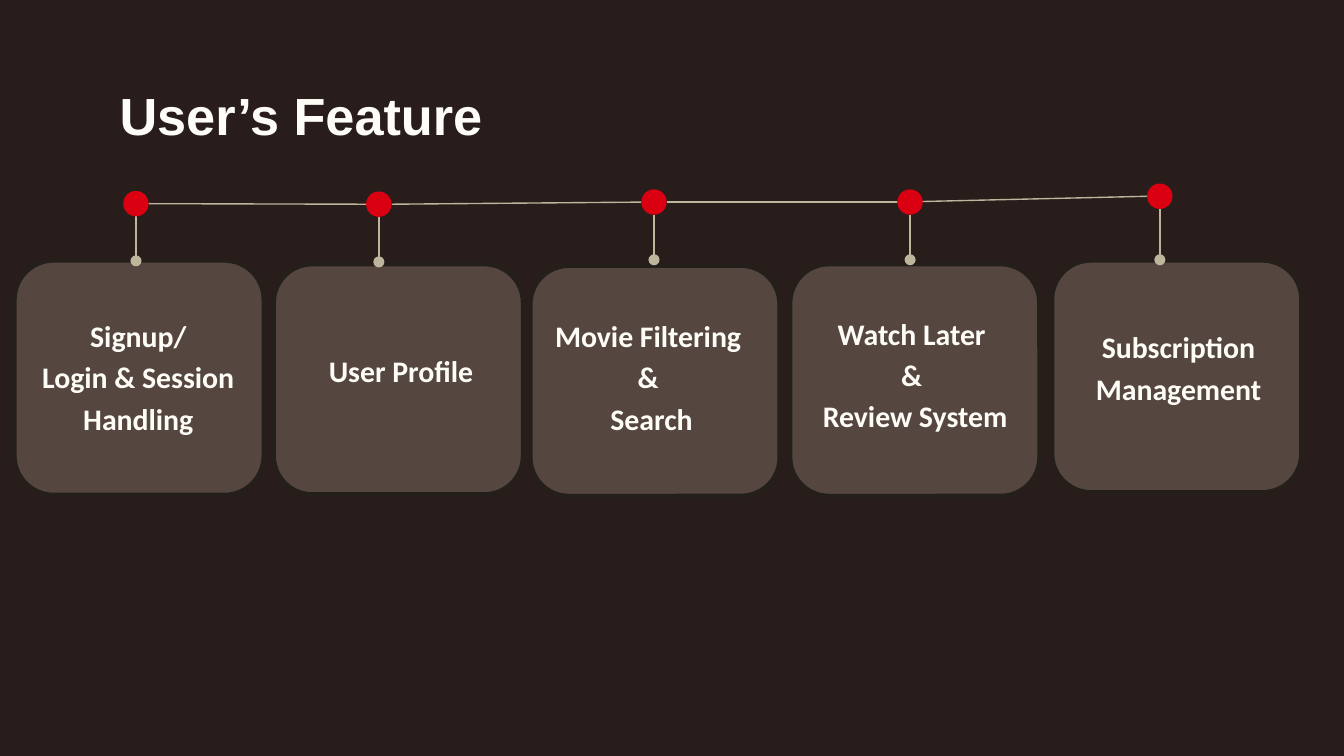
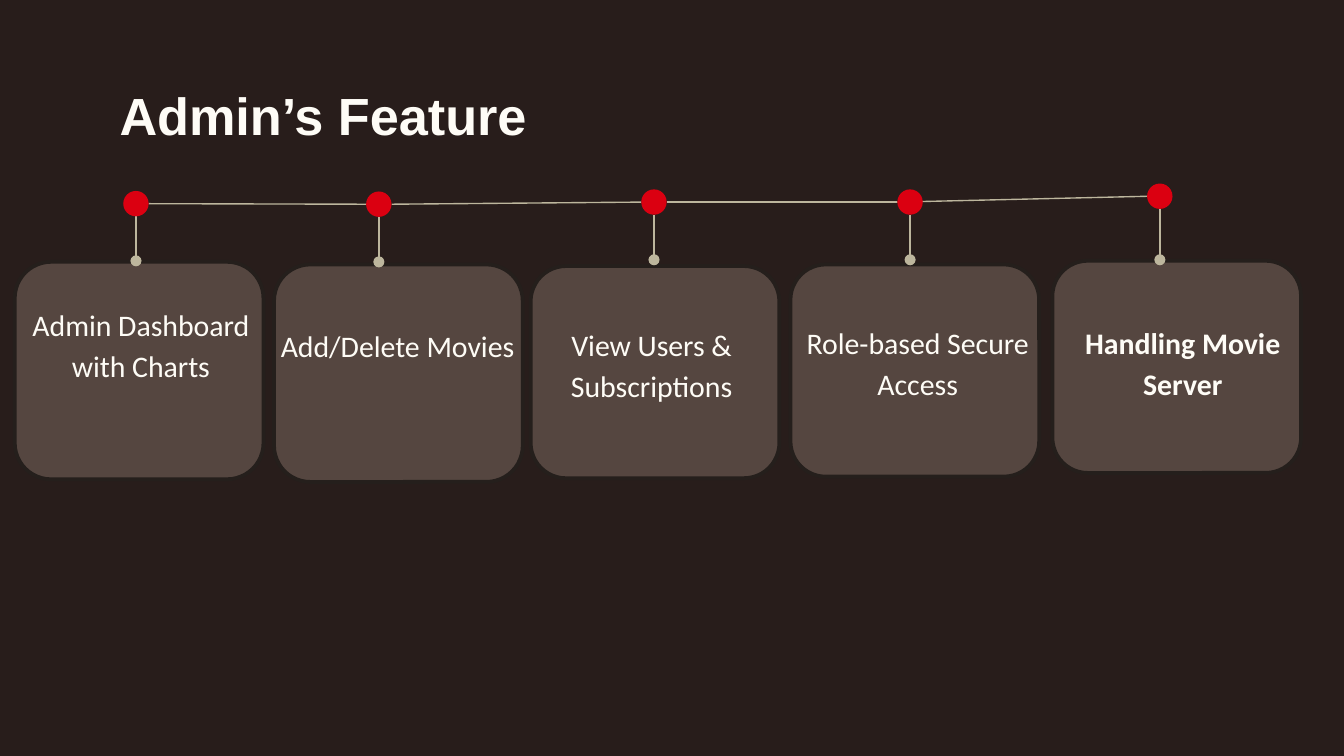
from lxml.etree import SubElement
from pptx import Presentation
from pptx.dml.color import RGBColor
from pptx.enum.shapes import MSO_CONNECTOR as Connector, MSO_SHAPE as Shape
from pptx.enum.text import PP_ALIGN as Align
from pptx.oxml.ns import qn
from pptx.util import Cm, Pt

BACKGROUND = RGBColor(0x28, 0x1D, 0x1B)
CARD = RGBColor(0x55, 0x46, 0x40)
CARD_EDGE = RGBColor(0x25, 0x1F, 0x1C)
CREAM = RGBColor(0xFE, 0xFC, 0xF6)
SAND = RGBColor(0xBD, 0xB6, 0x9D)
RED = RGBColor(0xDB, 0x00, 0x11)

INSET = 0.25
CARD_WIDTH = 4.7
LABEL_WIDTH = 5.03
CARD_LEFTS = [0.28, 5.18, 10.03, 14.94, 19.89]

# Timeline dots: centre x, centre y, end of the stem below
DOTS = [(2.57, 3.85, 4.93), (7.16, 3.86, 4.95), (12.36, 3.82, 4.91),
        (17.2, 3.82, 4.91), (21.92, 3.71, 4.91)]
RADIUS = 0.24

TITLE_FONT = {"name": "Arial", "size": Pt(28), "bold": True}
LABEL_FONT = {"name": "Calibri", "size": Pt(16)}

# Each feature: card top and height, label left, top and height, bold, paragraphs
SLIDES = [
    ("User’s Feature", [
        (4.93, 4.42, 0.1, 5.66, 4.55, True, ["Signup/", "Login & Session Handling"]),
        (5.0, 4.34, 5.13, 6.32, 2.49, True, ["User Profile "]),
        (5.03, 4.34, 9.8, 5.66, 2.49, True, ["Movie Filtering ", "& ", "Search"]),
        (5.0, 4.37, 14.78, 5.61, 2.49, True, ["Watch Later ", "& ", "Review System"]),
        (4.93, 4.37, 19.76, 5.87, 2.03, True, ["Subscription Management"]),
    ]),
    ("Admin’s Feature", [
        (4.95, 4.11, 0.15, 5.44, 2.49, False, ["Admin Dashboard with Charts"]),
        (5.0, 4.11, 5.0, 5.84, 1.83, False, ["Add/Delete Movies"]),
        (5.03, 4.01, 9.8, 5.82, 2.21, False, ["View Users & Subscriptions"]),
        (5.0, 4.01, 14.83, 5.79, 2.49, False, ["Role-based Secure Access"]),
        (4.93, 4.01, 19.84, 5.79, 2.49, True, ["Handling Movie Server"]),
    ]),
]


def add_text(page, left, top, width, height, lines, font, align, spacing, inset_top=INSET):
    box = page.shapes.add_textbox(Cm(left), Cm(top), Cm(width), Cm(height))
    frame = box.text_frame
    frame.word_wrap = True
    frame.margin_left = frame.margin_right = frame.margin_bottom = Cm(INSET)
    frame.margin_top = Cm(inset_top)
    for number, line in enumerate(lines):
        para = frame.add_paragraph() if number else frame.paragraphs[0]
        para.alignment = align
        para.line_spacing = spacing
        span = para.add_run()
        span.text = line
        for key, value in font.items():
            setattr(span.font, key, value)
        span.font.color.rgb = CREAM


def add_line(page, x1, y1, x2, y2, oval_end=False):
    line = page.shapes.add_connector(Connector.STRAIGHT, Cm(x1), Cm(y1), Cm(x2), Cm(y2))
    line.line.color.rgb = SAND
    line.line.width = Pt(0.75)
    if oval_end:
        SubElement(line.line._get_or_add_ln(), qn("a:tailEnd"), type="oval")
    SubElement(line._element.spPr, qn("a:effectLst"))


deck = Presentation()
deck.slide_width = Cm(25.4)
deck.slide_height = Cm(14.29)

for title, features in SLIDES:
    page = deck.slides.add_slide(deck.slide_layouts[6])
    page.background.fill.solid()
    page.background.fill.fore_color.rgb = BACKGROUND

    for left, (top, height, *_) in zip(CARD_LEFTS, features):
        card = page.shapes.add_shape(
            Shape.ROUNDED_RECTANGLE, Cm(left), Cm(top), Cm(CARD_WIDTH), Cm(height))
        card.shadow.inherit = False
        card.fill.solid()
        card.fill.fore_color.rgb = CARD
        card.line.color.rgb = CARD_EDGE
        card.line.width = Pt(2)

    add_text(page, 2.01, 1.24, 21.41, 1.6, [title], TITLE_FONT, Align.LEFT, 1.0, inset_top=0.34)
    for _, _, left, top, height, bold, lines in features:
        add_text(page, left, top, LABEL_WIDTH, height, lines,
                 {**LABEL_FONT, "bold": bold}, Align.CENTER, 1.15)

    for (x1, y1, _), (x2, y2, _) in zip(DOTS, DOTS[1:]):
        # The last link starts on the far side of its dot
        start = x1 - RADIUS if (x2, y2) == DOTS[-1][:2] else x1 + RADIUS
        add_line(page, start, y1, x2 - RADIUS, y2)

    for x, y, stem_end in DOTS:
        add_line(page, x, y + RADIUS, x, stem_end, oval_end=True)
        dot = page.shapes.add_shape(
            Shape.OVAL, Cm(x - RADIUS), Cm(y - RADIUS), Cm(2 * RADIUS), Cm(2 * RADIUS))
        dot.shadow.inherit = False
        dot.fill.solid()
        dot.fill.fore_color.rgb = RED
        dot.line.fill.background()

deck.save("out.pptx")
